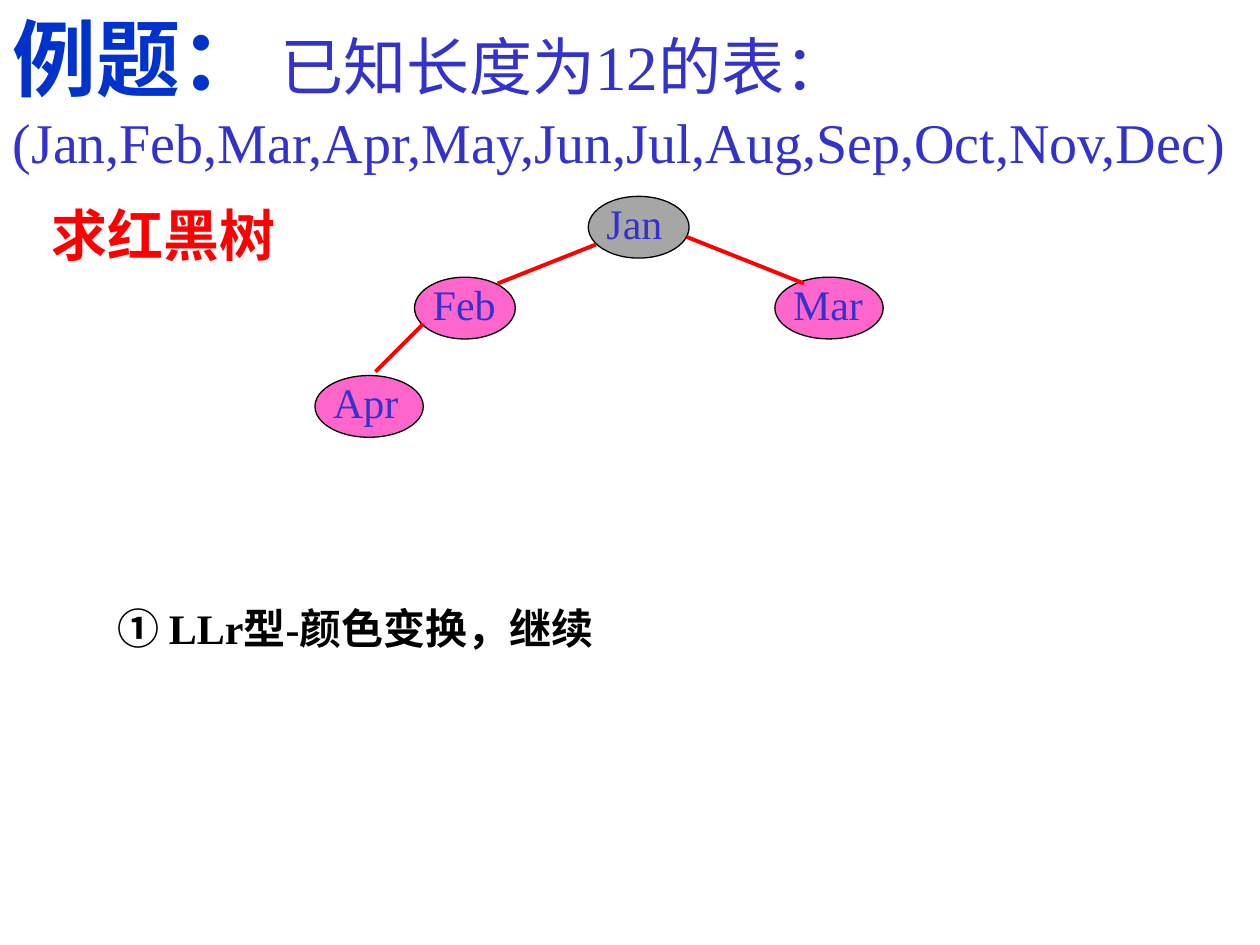
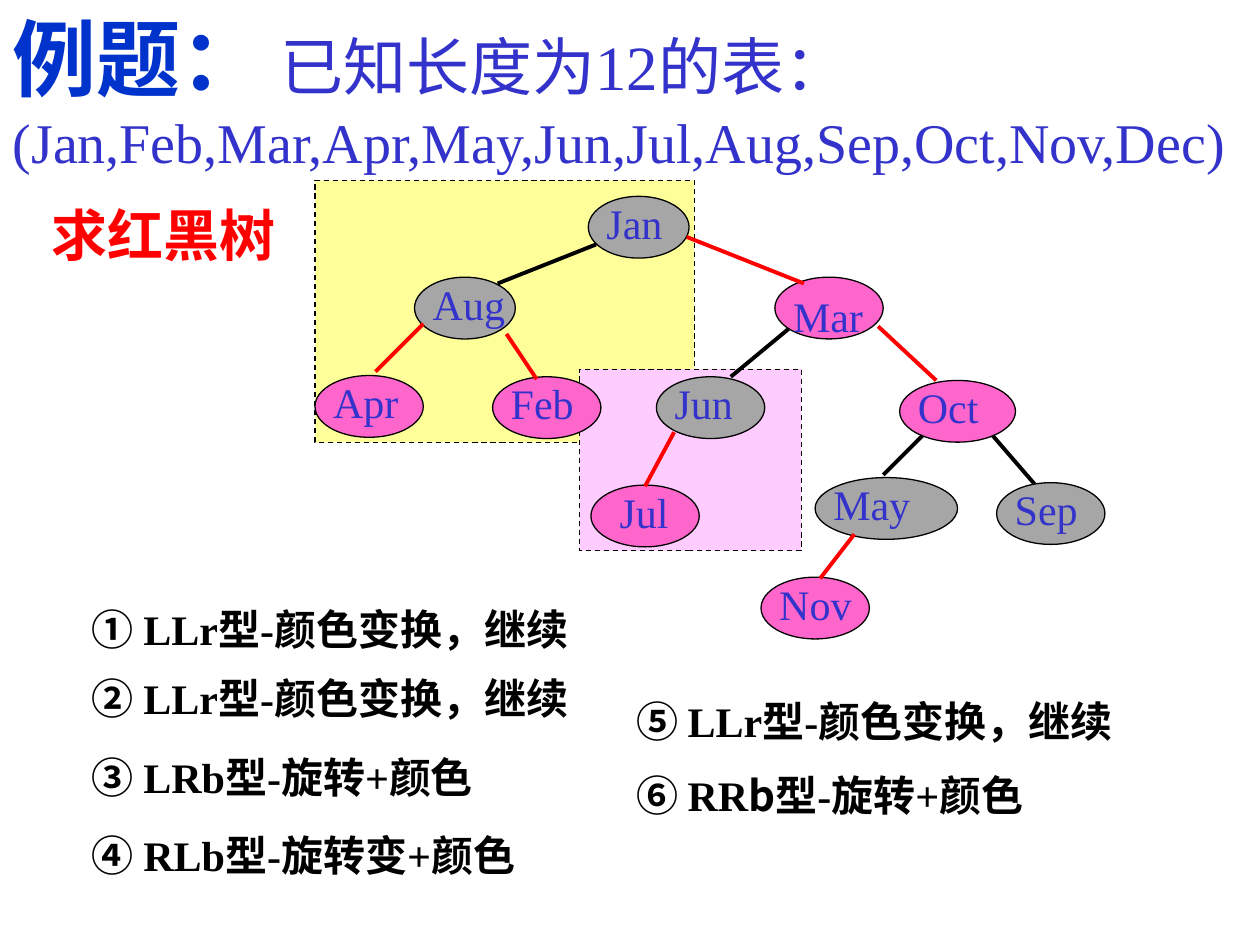
from lxml import etree
from pptx import Presentation
from pptx import util as u
from pptx.dml import color as colors
from pptx.enum import dml, shapes, text
from pptx.oxml import ns

BLACK, WHITE = "000000", "FFFFFF"
RED, PINK, GRAY = "FF0000", "FF66CC", "A6A6A6"
INDIGO, BLUE = "3333CC", "0033CC"
YELLOW, LILAC = "FFFF99", "FFCCFF"
SERIF, SANS = "Times New Roman", "Noto Sans CJK SC"
NODE_HEIGHT = 35.3
MONTHS = "(Jan,Feb,Mar,Apr,May,Jun,Jul,Aug,Sep,Oct,Nov,Dec)"
RECOLOR = "LLr型-颜色变换，继续"


def rgb(value):
    return colors.RGBColor.from_string(value)


class Board:
    left = text.PP_ALIGN.LEFT
    center = text.PP_ALIGN.CENTER

    def __init__(self, deck):
        self.deck = deck
        self.page = None

    def new_page(self):
        self.page = self.deck.slides.add_slide(self.deck.slide_layouts[5])
        self.page.background.fill.solid()
        self.page.background.fill.fore_color.rgb = rgb(WHITE)
        self.heading()
        self.text_box((22.3, 110.9, 260.6, 45.4),
                      [[("求红黑树", SERIF, 32, RED, True)]])

    def fill_frame(self, frame, paragraphs, align):
        values = dict(word_wrap=True, auto_size=text.MSO_AUTO_SIZE.NONE,
                      vertical_anchor=text.MSO_ANCHOR.TOP,
                      margin_left=u.Pt(7.2), margin_right=u.Pt(7.2),
                      margin_top=u.Pt(3.6), margin_bottom=u.Pt(3.6))
        for name, value in values.items():
            setattr(frame, name, value)
        for index, spans in enumerate(paragraphs):
            para = frame.add_paragraph() if index else frame.paragraphs[0]
            para.alignment = align
            for words, face, size, color, bold in spans:
                span = para.add_run()
                span.text = words
                span.font.color.rgb = rgb(color)
                for name, value in dict(name=face, size=u.Pt(size), bold=bold).items():
                    setattr(span.font, name, value)
                east = etree.SubElement(span.font._element, ns.qn("a:ea"))
                east.set("typeface", SANS)

    def heading(self):
        title = self.page.shapes.title
        for name, value in dict(left=0, top=0, width=720, height=103).items():
            setattr(title, name, u.Pt(value))
        self.fill_frame(title.text_frame, [
            [("例题：", SERIF, 48, BLUE, True),
             (" ", SERIF, 40, BLACK, False),
             ("已知长度为12的表：", SERIF, 36, INDIGO, False)],
            [(MONTHS, SERIF, 32, INDIGO, False)]], self.left)

    def text_box(self, area, paragraphs, align=text.PP_ALIGN.LEFT):
        box = self.page.shapes.add_textbox(*map(u.Pt, area))
        self.fill_frame(box.text_frame, paragraphs, align)

    def shape(self, kind, area, fill):
        shape = self.page.shapes.add_shape(kind, *map(u.Pt, area))
        shape.shadow.inherit = False
        shape.fill.solid()
        shape.fill.fore_color.rgb = rgb(fill)
        shape.line.color.rgb = rgb(BLACK)
        shape.line.width = u.Pt(0.75)
        return shape

    def panel(self, area, fill):
        panel = self.shape(shapes.MSO_SHAPE.RECTANGLE, area, fill)
        panel.line.dash_style = dml.MSO_LINE.DASH

    def node(self, label, x, y, fill, width=61.9, shift=(0, 0)):
        self.shape(shapes.MSO_SHAPE.OVAL, (x, y, width, NODE_HEIGHT), fill)
        self.text_box((x + 3.3 + shift[0], y - 3 + shift[1], width + 8, 36),
                      [[(label, SERIF, 24, INDIGO, False)]])

    def edge(self, x1, y1, x2, y2, color):
        edge = self.page.shapes.add_connector(
            shapes.MSO_CONNECTOR.STRAIGHT, *map(u.Pt, (x1, y1, x2, y2)))
        edge.line.color.rgb = rgb(color)
        edge.line.width = u.Pt(2.25)
        etree.SubElement(edge._element.spPr, ns.qn("a:effectLst"))

    def top_of_tree(self, left_label, left_fill, left_edge, mar_drop):
        self.node("Jan", 336.2, 112.2, GRAY, 57.6)
        self.node(left_label, 236.9, 158.4, left_fill, 57.6)
        self.node("Mar", 442.8, 158.4, PINK, shift=(0, mar_drop))
        self.node("Apr", 180, 214.6, PINK)
        self.edge(340.6, 139.7, 284.4, 162, left_edge)
        self.edge(392.4, 135.4, 459.4, 162, RED)
        self.edge(241.9, 185, 214.6, 212.4, RED)

    def step(self, number, x, y, *parts, width=339, align=text.PP_ALIGN.LEFT):
        spans = [(number + " ", SANS, 24, BLACK, True)]
        spans += [(words, face, 24, BLACK, True) for words, face in parts]
        self.text_box((x, y, width, 36), [spans], align)


def first_page(board):
    board.new_page()
    board.top_of_tree("Feb", PINK, RED, 0)
    board.step("①", 45.4, 340.6, (RECOLOR, SERIF), width=315.4, align=board.center)


def last_page(board):
    board.new_page()
    board.panel((180, 103, 216.7, 149.8), YELLOW)
    board.panel((331.2, 211, 126.7, 103.7), LILAC)
    board.top_of_tree("Aug", GRAY, BLACK, 7)
    for label, x, y, fill, width in (
            ("Feb", 281.5, 215.3, PINK, 61.9),
            ("Jun", 375.1, 215.3, GRAY, 61.9),
            ("Oct", 514.1, 217.4, PINK, 66.2),
            ("May", 465.8, 272.9, GRAY, 81.4),
            ("Sep", 569.5, 275.8, GRAY, 61.9),
            ("Nov", 434.9, 329.8, PINK, 61.9)):
        board.node(label, x, y, fill, width)
    board.node("Jul", 337.7, 277.2, PINK, shift=(6, 0))
    for ends in ((289.4, 190.8, 306.7, 216.7), (501.8, 186.5, 535, 217.4),
                 (385.2, 247, 368.6, 277.9), (488.2, 305.3, 468.7, 330.5)):
        board.edge(*ends, RED)
    for ends in ((450.7, 187.9, 417.6, 215.3), (567.4, 249.1, 591.1, 276.5),
                 (527, 249.1, 504.7, 271.4)):
        board.edge(*ends, BLACK)
    for number, x, y, words in (
            ("①", 45.4, 341.3, RECOLOR),
            ("②", 45.4, 380.9, RECOLOR),
            ("③", 45.4, 426.2, "LRb型-旋转+颜色"),
            ("④", 45.4, 470.2, "RLb型-旋转变+颜色"),
            ("⑤", 356.4, 393.8, RECOLOR)):
        board.step(number, x, y, (words, SERIF))
    board.step("⑥", 356.4, 436.3, ("RR", SERIF), ("b", SANS), ("型-旋转+颜色", SERIF))


def main():
    deck = Presentation()
    deck.slide_width, deck.slide_height = u.Pt(720), u.Pt(540)
    board = Board(deck)
    first_page(board)
    last_page(board)
    deck.save("out.pptx")


if __name__ == "__main__":
    main()
